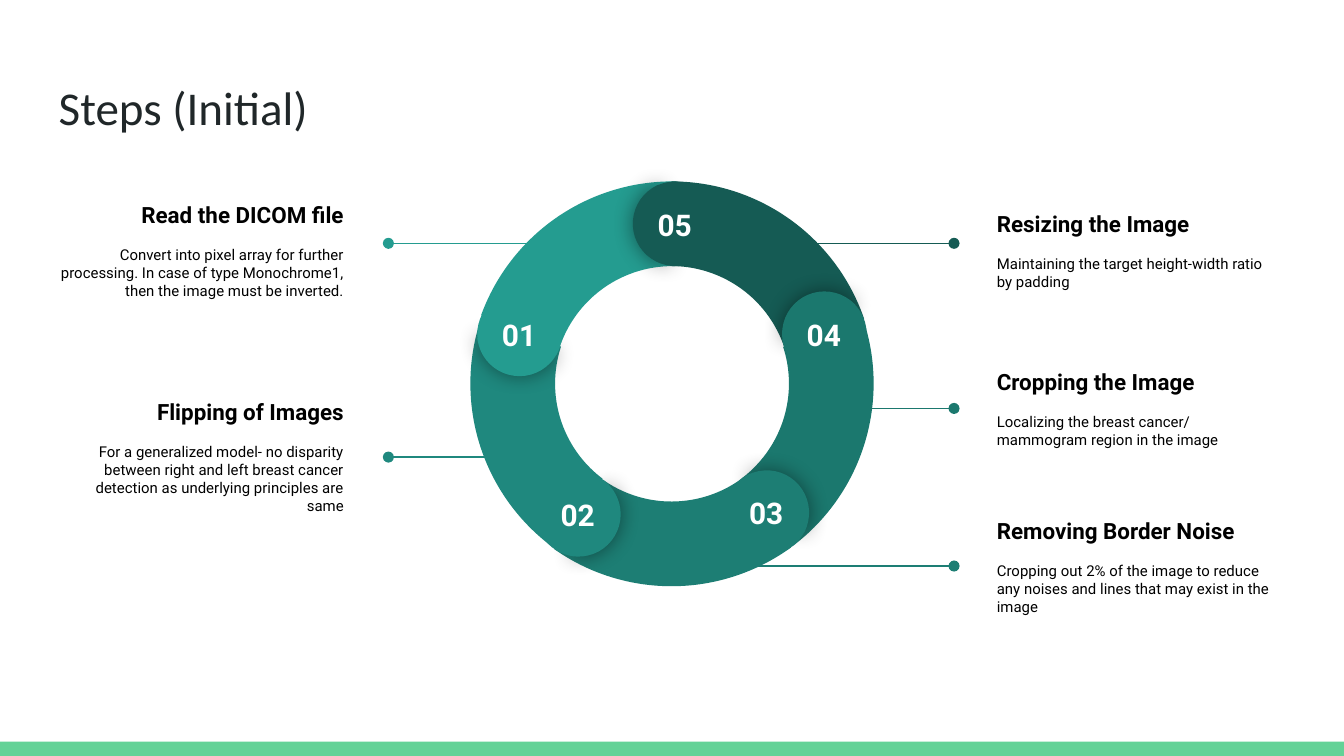
from collections import namedtuple

from lxml.etree import SubElement
from pptx import Presentation
from pptx.dml.color import RGBColor
from pptx.enum.shapes import MSO_CONNECTOR, MSO_SHAPE
from pptx.enum.text import MSO_ANCHOR as Anchor, PP_ALIGN as Align
from pptx.oxml.ns import qn
from pptx.util import Cm, Pt

WHITE = RGBColor(0xFF, 0xFF, 0xFF)
BLACK = RGBColor(0x00, 0x00, 0x00)
INK = RGBColor(0x20, 0x27, 0x29)
GREEN = RGBColor(0x63, 0xD2, 0x97)
TEAL_1 = RGBColor(0x24, 0x9C, 0x90)
TEAL_2 = RGBColor(0x1F, 0x88, 0x7E)
TEAL_3 = RGBColor(0x1D, 0x7E, 0x74)
TEAL_4 = RGBColor(0x1B, 0x78, 0x6E)
TEAL_5 = RGBColor(0x15, 0x5B, 0x54)

WIDTH, HEIGHT = 25.4, 14.29
INSET = 0.25
RING_SIZE, CAP_SIZE = 7.7, 1.6
RING_SPAN = (126.025, 168.677, 0.208)
SHADED_SPAN = (61.904, 149.962)
PLAIN_SPAN = (40.283, 171.837)
HALF_TURN = 179.3
CAPTION_SIZE = (5.89, 2.57)
LEFT_CAPTION, RIGHT_CAPTION = 0.86, 18.59
LEFT_DOT, RIGHT_DOT = 7.34, 18.03

# Positions in cm, turns in degrees; leader is (x at the ring, y).
Step = namedtuple("Step", "number color heading body on_left top leader arc arc_turn cap cap_turn")
STEPS = [
    Step("01", TEAL_1, "Read the DICOM file",
         "Convert into pixel array for further processing. In case of type "
         "Monochrome1, then the image must be inverted.",
         True, 3.45, (10.74, 4.6), (8.86, 3.43), 350, (9.02, 5.51), 284.1),
    Step("02", TEAL_2, "Flipping of Images",
         "For a generalized model- no disparity between right and left breast "
         "cancer detection as underlying principles are same",
         True, 7.34, (9.93, 8.64), (8.89, 3.4), 277, (10.13, 8.92), 211.1),
    Step("03", TEAL_3, "Removing Border Noise",
         "Cropping out 2% of the image to reduce any noises and lines that may "
         "exist in the image",
         False, 9.42, (12.93, 10.7), (8.84, 3.38), 204, (13.69, 8.89), 139.1),
    Step("04", TEAL_4, "Cropping the Image",
         "Localizing the breast cancer/ mammogram region in the image",
         False, 6.43, (15.6, 7.72), (8.81, 3.4), 132, (14.78, 5.51), 67.1),
    Step("05", TEAL_5, "Resizing the Image",
         "Maintaining the target height-width ratio by padding",
         False, 3.45, (14.48, 4.6), (8.84, 3.43), 60, (11.96, 3.43), 357.1),
]


class Painter:
    heading_font = "Calibri"
    body_font = "Roboto"

    def __init__(self, page):
        self.page = page

    def shape(self, kind, left, top, width, height, color, turn=0, span=()):
        shape = self.page.shapes.add_shape(kind, Cm(left), Cm(top), Cm(width), Cm(height))
        shape.shadow.inherit = False
        shape.fill.solid()
        shape.fill.fore_color.rgb = color
        shape.line.fill.background()
        shape.rotation = turn
        for index, value in enumerate(span):
            shape.adjustments[index] = value
        return shape

    def glow(self, shape):
        """Add a soft, centred black shadow."""
        effects = shape.element.spPr.find(qn("a:effectLst"))
        shadow = SubElement(effects, qn("a:outerShdw"), blurRad=str(Pt(11.2)),
                            dist="0", dir="0", algn="ctr", rotWithShape="0")
        color = SubElement(shadow, qn("a:srgbClr"), val=str(BLACK))
        SubElement(color, qn("a:alpha"), val="43000")

    def cap(self, left, top, color, turn):
        """Round end of a ring segment: a shaded front and a plain back."""
        place = (left, top, CAP_SIZE, CAP_SIZE, color)
        self.glow(self.shape(MSO_SHAPE.PIE, *place, turn, SHADED_SPAN))
        self.shape(MSO_SHAPE.PIE, *place, (turn + HALF_TURN) % 360, PLAIN_SPAN)

    def leader(self, start, end, y, color):
        line = self.page.shapes.add_connector(
            MSO_CONNECTOR.STRAIGHT, Cm(start), Cm(y), Cm(end), Cm(y))
        line.line.color.rgb = color
        line.line.width = Pt(0.75)
        properties = line.element.spPr
        SubElement(properties.find(qn("a:ln")), qn("a:tailEnd"), type="oval")
        SubElement(properties, qn("a:effectLst"))

    def text(self, left, top, width, height, lines, color, font=body_font,
             align=Align.LEFT, anchor=Anchor.TOP):
        """Write lines given as (text, size, bold, space before)."""
        box = self.page.shapes.add_textbox(Cm(left), Cm(top), Cm(width), Cm(height))
        frame = box.text_frame
        frame.word_wrap = True
        frame.vertical_anchor = anchor
        frame.margin_left = frame.margin_right = Cm(INSET)
        frame.margin_top = frame.margin_bottom = Cm(INSET)
        for index, (words, size, bold, gap) in enumerate(lines):
            para = frame.add_paragraph() if index else frame.paragraphs[0]
            para.text = words
            para.alignment = align
            para.space_before = Pt(gap)
            para.font.name = font
            para.font.size = Pt(size)
            para.font.bold = bold
            para.font.color.rgb = color

    def caption(self, step):
        left = LEFT_CAPTION if step.on_left else RIGHT_CAPTION
        lines = [(step.heading, 12, True, 0), (step.body, 8, False, 9.4)]
        self.text(left, step.top, *CAPTION_SIZE, lines, BLACK,
                  align=Align.RIGHT if step.on_left else Align.LEFT, anchor=Anchor.MIDDLE)


def main():
    deck = Presentation()
    deck.slide_width, deck.slide_height = Cm(WIDTH), Cm(HEIGHT)
    painter = Painter(deck.slides.add_slide(deck.slide_layouts[6]))

    painter.shape(MSO_SHAPE.RECTANGLE, 0, 14.02, WIDTH, HEIGHT - 14.02, GREEN)
    painter.text(0.86, 1.24, 23.67, 1.6, [("Steps (Initial)", 25.2, False, 0)],
                 INK, font=painter.heading_font)

    for step in STEPS:
        start, y = step.leader
        painter.leader(start, LEFT_DOT if step.on_left else RIGHT_DOT, y, step.color)
        painter.caption(step)
    for step in STEPS:
        painter.shape(MSO_SHAPE.BLOCK_ARC, *step.arc, RING_SIZE, RING_SIZE,
                      step.color, step.arc_turn, RING_SPAN)
    for step in STEPS:
        left, top = step.cap
        painter.cap(left, top, step.color, step.cap_turn)
        painter.text(left + 0.08, top + 0.22, 1.42, 0.74, [(step.number, 16, True, 0)],
                     WHITE, align=Align.CENTER)

    deck.save("out.pptx")


if __name__ == "__main__":
    main()
